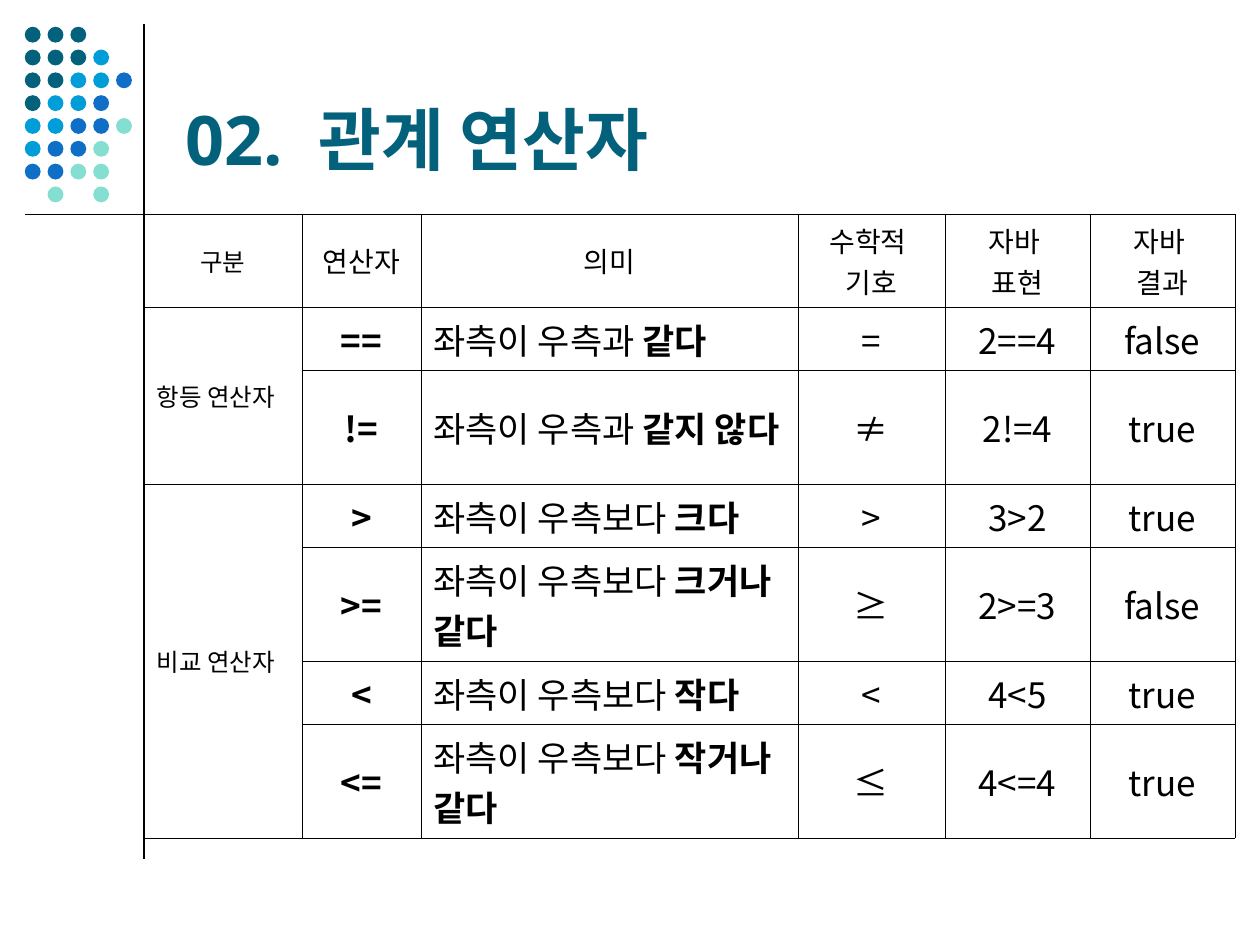
from lxml import etree
from pptx import Presentation
from pptx.dml.color import RGBColor
from pptx.enum.shapes import MSO_CONNECTOR, MSO_SHAPE
from pptx.enum.text import MSO_ANCHOR as ANCHOR, PP_ALIGN as ALIGN
from pptx.oxml.ns import qn
from pptx.util import Cm, Pt

COLORS = {"dark": "04617B", "sky": "009DD9", "blue": "0F6FC6",
          "mint": "85DFD0", "black": "000000"}
LATIN, KOREAN = "Noto Sans", "Noto Sans CJK KR"

# Content
TITLE = ("02.", " ", "관계 연산자")
HEADER = ["구분", "연산자", "의미", "수학적 \n기호", "자바 \n표현", "자바 \n결과"]
GROUPS = [
    ("항등 연산자", [
        ("==", "좌측이 우측과 ", "같다", "=", "2==4", "false"),
        ("!=", "좌측이 우측과 ", "같지 않다", "≠", "2!=4", "true"),
    ]),
    ("비교 연산자", [
        (">", "좌측이 우측보다 ", "크다", ">", "3>2", "true"),
        (">=", "좌측이 우측보다 ", "크거나 같다", "≥", "2>=3", "false"),
        ("<", "좌측이 우측보다 ", "작다", "<", "4<5", "true"),
        ("<=", "좌측이 우측보다 ", "작거나 같다", "≤", "4<=4", "true"),
    ]),
]
DOT_ROWS = ["ddd", "ddds", "ddssb", "dssb", "ssbb m", "sbbm", "bbmm", " m m"]
DOT_COLORS = {"d": "dark", "s": "sky", "b": "blue", "m": "mint"}

# Measures in centimetres
COL_WIDTHS = [3.19, 2.39, 7.6, 2.97, 2.92, 2.92]
ROW_HEIGHTS = [1.87] + [1.27, 2.3] * 3
AXIS_X, AXIS_Y = 2.9, 4.32
DOT_X, DOT_Y, DOT_STEP, DOT_SIZE = 0.5, 0.54, 0.46, 0.32


def rgb(name):
    return RGBColor.from_string(COLORS[name])


def add_text(p, text, size=20, bold=False, color="black", font=KOREAN,
             align=None, spacing=0):
    if align is not None:
        p.alignment = align
    r = p.add_run()
    r.text = text
    r.font.size, r.font.bold, r.font.name = Pt(size), bold, font
    r.font.color.rgb = rgb(color)
    rpr = r.font._element
    etree.SubElement(rpr, qn("a:ea")).set("typeface", KOREAN)
    if spacing:
        rpr.set("spc", str(spacing * 100))


def add_rule(s, x1, y1, x2, y2):
    line = s.shapes.add_connector(MSO_CONNECTOR.STRAIGHT,
                                  Cm(x1), Cm(y1), Cm(x2), Cm(y2))
    line.line.color.rgb = rgb("black")
    line.line.width = Pt(0.75)
    etree.SubElement(line._element.spPr, qn("a:effectLst"))


def style_cell(cell):
    cell.vertical_anchor = ANCHOR.MIDDLE
    tcpr = cell._tc.get_or_add_tcPr()
    for side in ("a:lnL", "a:lnR", "a:lnT", "a:lnB"):
        ln = etree.SubElement(tcpr, qn(side), w=str(Pt(0.06)))
        fill = etree.SubElement(ln, qn("a:solidFill"))
        etree.SubElement(fill, qn("a:srgbClr"), val=COLORS["black"])
    cell.fill.background()


def add_dots(s):
    for row, codes in enumerate(DOT_ROWS):
        # A gap before the fifth dot is written as a space
        codes = codes.replace("bb m", "bbm")
        for col, code in enumerate(codes):
            if code == " ":
                continue
            dot = s.shapes.add_shape(
                MSO_SHAPE.OVAL, Cm(DOT_X + col * DOT_STEP),
                Cm(DOT_Y + row * DOT_STEP), Cm(DOT_SIZE), Cm(DOT_SIZE))
            dot.shadow.inherit = False
            dot.fill.solid()
            dot.fill.fore_color.rgb = rgb(DOT_COLORS[code])
            dot.line.fill.background()


def add_title(s):
    tf = s.shapes.add_textbox(Cm(3.5), Cm(0.53), Cm(20.95), Cm(3.2)).text_frame
    tf.word_wrap = True
    tf.vertical_anchor = ANCHOR.BOTTOM
    for part in TITLE:
        add_text(tf.paragraphs[0], part, size=39, bold=True, color="dark",
                 font=LATIN, spacing=10 if part == " " else 0)


def add_operator_table(s):
    table = s.shapes.add_table(
        len(ROW_HEIGHTS), len(COL_WIDTHS), Cm(AXIS_X), Cm(AXIS_Y),
        Cm(sum(COL_WIDTHS)), Cm(sum(ROW_HEIGHTS))).table
    table.first_row = table.horz_banding = False
    for col, width in zip(table.columns, COL_WIDTHS):
        col.width = Cm(width)
    for row, height in zip(table.rows, ROW_HEIGHTS):
        row.height = Cm(height)
    for cell in table.iter_cells():
        style_cell(cell)

    # Header row
    for col, label in enumerate(HEADER):
        tf = table.cell(0, col).text_frame
        for i, text in enumerate(label.split("\n")):
            p = tf.add_paragraph() if i else tf.paragraphs[0]
            add_text(p, text, size=16 if col else 14, align=ALIGN.CENTER)

    # Operators, with one merged label for each group
    row = 1
    for group, operators in GROUPS:
        label = table.cell(row, 0)
        label.merge(table.cell(row + len(operators) - 1, 0))
        add_text(label.text_frame.paragraphs[0], group, size=14,
                 align=ALIGN.JUSTIFY)
        for operator, lead, key, *values in operators:
            ps = [table.cell(row, c).text_frame.paragraphs[0]
                  for c in range(1, len(COL_WIDTHS))]
            add_text(ps[0], operator, bold=True, align=ALIGN.CENTER)
            add_text(ps[1], lead)
            add_text(ps[1], key, bold=True)
            for p, value in zip(ps[2:], values):
                add_text(p, value, align=ALIGN.CENTER)
            row += 1


def main():
    prs = Presentation()
    prs.slide_width, prs.slide_height = Cm(25.4), Cm(19.05)
    s = prs.slides.add_slide(prs.slide_layouts[6])
    add_rule(s, AXIS_X, 0.48, AXIS_X, 17.32)
    add_dots(s)
    add_rule(s, 0.5, AXIS_Y, 24.71, AXIS_Y)
    add_title(s)
    add_operator_table(s)
    prs.save("out.pptx")


if __name__ == "__main__":
    main()
